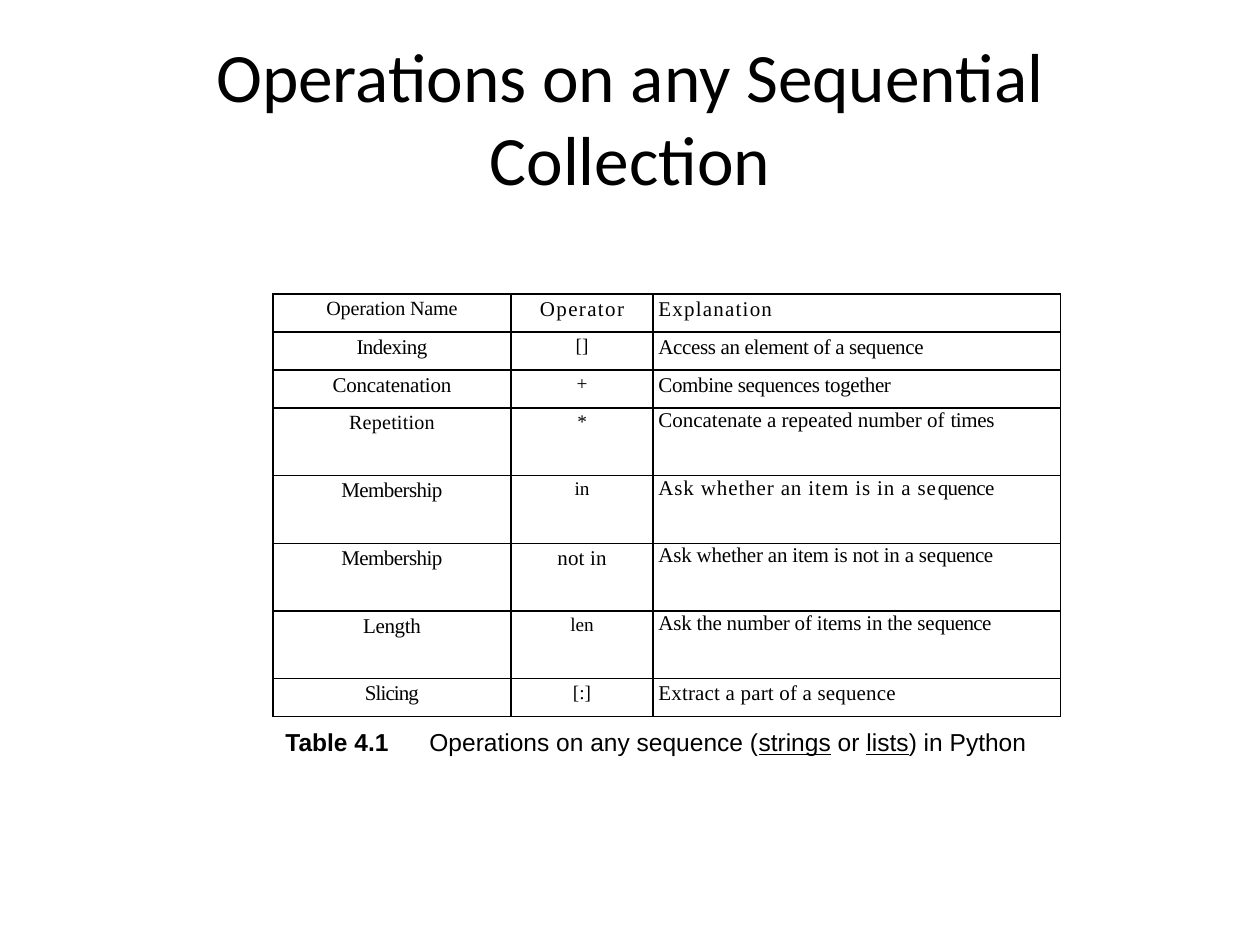
"""Build a slide with a table of operations on sequential collections."""
import pptx
import pptx.dml.color
import pptx.enum.text
import pptx.oxml
import pptx.oxml.ns
import pptx.util

Pt = pptx.util.Pt
ALIGN = pptx.enum.text.PP_ALIGN
COLORS = {"ink": "000000", "paper": "FFFFFF"}

TITLE = "Operations on any Sequential Collection"
CAPTION = [
    ("Table 4.1", True, False),
    ("\tOperations on any sequence (", False, False),
    ("strings", False, True),
    (" or ", False, False),
    ("lists", False, True),
    (") in Python", False, False),
]
CAPTION_TAB = 82.3

COLUMN_WIDTHS = [136, 81.3, 232.7]
SHORT, TALL = 21.7, 38.7
# Each cell: font size, line spacing, then (text, letter spacing) runs.
ROWS = [
    (SHORT, [(11.5, 1.15, [("Operation Name", -0.1)]),
             (12, 1.15, [("Operator", 0.8)]),
             (12, 1.15, [("Explanation", 0.7)])]),
    (SHORT, [(12, 1.15, [("Indexing", -0.3)]),
             (11, 1.15, [("[]", 0)]),
             (12, 1.15, [("Access an element of a sequence", -0.2)])]),
    (SHORT, [(12, 1.15, [("Concatenation", -0.1)]),
             (11, 1.15, [("+", 0)]),
             (12, 1.15, [("Combine sequences together", -0.2)])]),
    (TALL, [(11.5, 1.15, [("Repetition", 0.1)]),
            (11, 1.15, [("*", 0)]),
            (12, Pt(13.7), [("Concatenate a repeated number of ", 0), ("times", -0.2)])]),
    (TALL, [(12, 1.15, [("Membership", -0.3)]),
            (11, 1.15, [("in", 0)]),
            (12, Pt(13.9), [("Ask whether an item is in a se", 0.5), ("quence", -0.3)])]),
    (TALL, [(12, 1.15, [("Membership", -0.3)]),
            (12, 1.15, [("not in", 0.1)]),
            (12, Pt(13.7), [("Ask whether an item is not in a se", -0.1), ("quence", -0.3)])]),
    (TALL, [(12, 1.15, [("Length", -0.2)]),
            (11, 1.15, [("len", 0)]),
            (12, Pt(13.7), [("Ask the number of items in the se", -0.1), ("quence", -0.3)])]),
    (SHORT, [(12, 1.15, [("Slicing", -0.5)]),
             (11, 1.15, [("[:]", 0)]),
             (12, 1.15, [("Extract a part of a sequence", 0.1)])]),
]


def style_font(para, name, size):
    para.font.name = name
    para.font.size = Pt(size)
    para.font.color.rgb = pptx.dml.color.RGBColor.from_string(COLORS["ink"])


def add_text_box(page, left, top, width, height):
    box = page.shapes.add_textbox(Pt(left), Pt(top), Pt(width), Pt(height))
    frame = box.text_frame
    frame.word_wrap = True
    frame.vertical_anchor = pptx.enum.text.MSO_ANCHOR.MIDDLE
    return frame.paragraphs[0]


def add_borders(cell):
    properties = cell._tc.get_or_add_tcPr()
    for index, side in enumerate(("lnL", "lnR", "lnT", "lnB")):
        properties.insert(index, pptx.oxml.parse_xml(
            f'<a:{side} {pptx.oxml.ns.nsdecls("a")} w="{Pt(1)}"><a:solidFill>'
            f'<a:srgbClr val="{COLORS["ink"]}"/></a:solidFill></a:{side}>'))


def fill_cell(cell, column, size, line_spacing, runs):
    cell.margin_left = cell.margin_right = Pt(2.2)
    cell.margin_top = cell.margin_bottom = 0
    cell.fill.solid()
    cell.fill.fore_color.rgb = pptx.dml.color.RGBColor.from_string(COLORS["paper"])
    add_borders(cell)
    para = cell.text_frame.paragraphs[0]
    para.line_spacing = line_spacing
    if column < 2:
        para.alignment = ALIGN.CENTER
    else:
        para.alignment = ALIGN.LEFT
        para._p.get_or_add_pPr().set("marL", str(Pt(0.8)))
    style_font(para, "Times New Roman", size)
    for text, letter_spacing in runs:
        span = para.add_run()
        span.text = text
        span._r.get_or_add_rPr().set("spc", str(round(letter_spacing * 100)))


def add_operations_table(page, left, top):
    heights = [height for height, cells in ROWS]
    table = page.shapes.add_table(
        len(ROWS), len(COLUMN_WIDTHS), Pt(left), Pt(top),
        Pt(sum(COLUMN_WIDTHS)), Pt(sum(heights))).table
    table.first_row = table.horz_banding = False
    for column, width in enumerate(COLUMN_WIDTHS):
        table.columns[column].width = Pt(width)
    for row, (height, cells) in enumerate(ROWS):
        table.rows[row].height = Pt(height)
        for column, content in enumerate(cells):
            fill_cell(table.cell(row, column), column, *content)


def add_caption(page):
    para = add_text_box(page, 156, 412, 444, 24.2)
    properties = para._p.get_or_add_pPr()
    properties.append(pptx.oxml.parse_xml(
        f'<a:tabLst {pptx.oxml.ns.nsdecls("a")}>'
        f'<a:tab pos="{Pt(CAPTION_TAB)}" algn="l"/></a:tabLst>'))
    style_font(para, "Arial", 14)
    for text, bold, underline in CAPTION:
        span = para.add_run()
        span.text = text
        span.font.bold = bold
        span.font.underline = underline


def main():
    deck = pptx.Presentation()
    deck.slide_width, deck.slide_height = Pt(720), Pt(540)
    page = deck.slides.add_slide(deck.slide_layouts[6])
    title = add_text_box(page, 36, 21.6, 648, 90)
    title.alignment = ALIGN.CENTER
    style_font(title, "Calibri", 39.6)
    title.add_run().text = TITLE
    add_operations_table(page, 156, 168)
    add_caption(page)
    deck.save("out.pptx")


if __name__ == "__main__":
    main()
